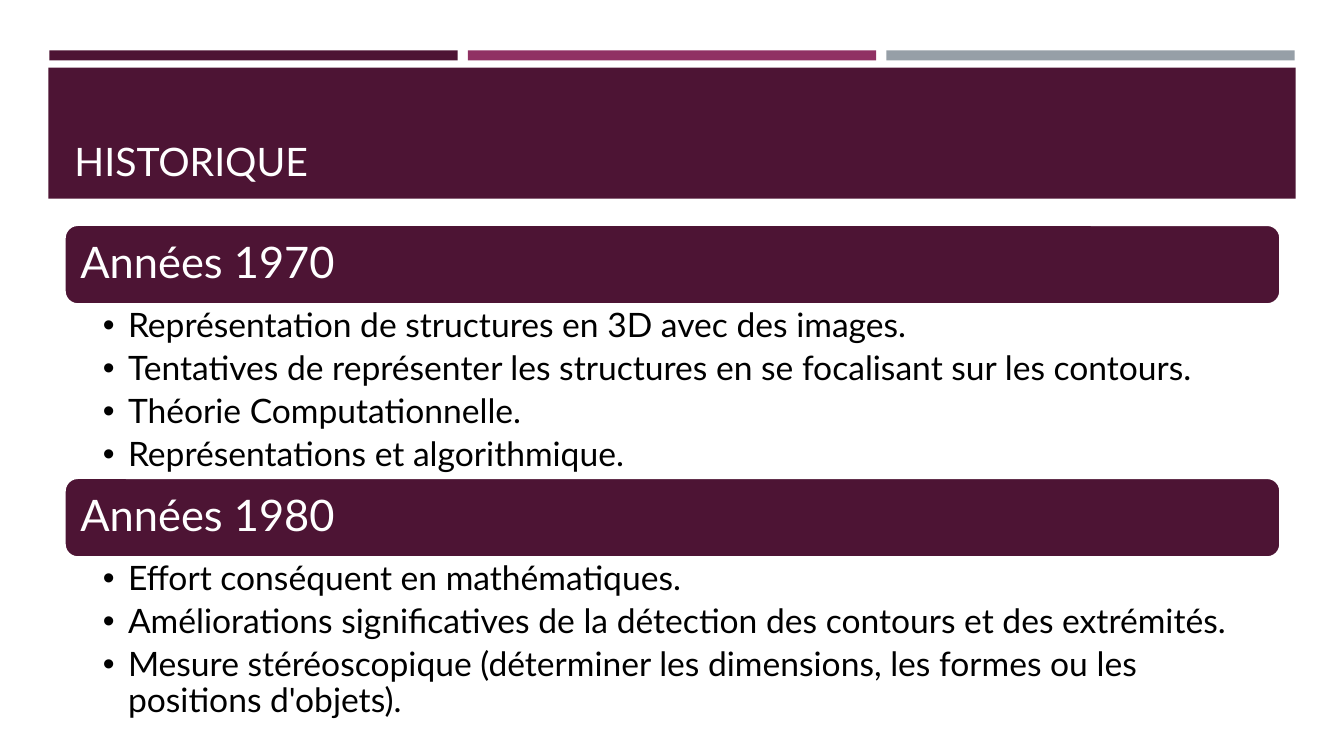
from dataclasses import dataclass

from lxml import etree
from pptx import Presentation
from pptx.dml.color import RGBColor
from pptx.enum.shapes import MSO_SHAPE
from pptx.enum.text import MSO_ANCHOR, PP_ALIGN
from pptx.oxml.ns import qn
from pptx.shapes.autoshape import Shape
from pptx.text.text import _Paragraph
from pptx.util import Inches, Pt

RECT = MSO_SHAPE.RECTANGLE
ROUND = MSO_SHAPE.ROUNDED_RECTANGLE
TOP, MIDDLE, BOTTOM = MSO_ANCHOR.TOP, MSO_ANCHOR.MIDDLE, MSO_ANCHOR.BOTTOM
LEFT = PP_ALIGN.LEFT

FONT = "Lato"
PLUM, ROSE, GREY = "4D1434", "903163", "969FA7"
WHITE, BLACK = "FFFFFF", "000000"


@dataclass
class Box:
    left: float
    top: float
    width: float
    height: float


@dataclass
class Style:
    size: float
    color: str
    anchor: MSO_ANCHOR
    insets: tuple[float, float, float, float]
    after: float = 0
    line: float = 1


@dataclass
class Decade:
    title: str
    top: float
    height: float
    points: list[str]


TITLE = Style(28, WHITE, BOTTOM, (0.1, 0.05, 0.1, 0.05))
HEAD = Style(31, WHITE, MIDDLE, (0.12, 0.09, 0.12, 0.09), 10.85, 0.9)
BODY = Style(24, BLACK, TOP, (0.38, 0.04, 0.24, 0.04), 4.8, 0.9)

DECADES = [
    Decade("Années 1970", 2.23, 1.72, [
        "Représentation de structures en 3D avec des images.",
        "Tentatives de représenter les structures en se focalisant sur les contours.",
        "Théorie Computationnelle.",
        "Représentations et algorithmique.",
    ]),
    Decade("Années 1980", 4.74, 1.65, [
        "Effort conséquent en mathématiques.",
        "Améliorations significatives de la détection des contours et des extrémités.",
        "Mesure stéréoscopique (déterminer les dimensions, les formes ou les "
        "positions d'objets).",
    ]),
]

deck = Presentation()
deck.slide_width = Inches(13.33)
deck.slide_height = Inches(7.5)
slide = deck.slides.add_slide(deck.slide_layouts[6])


def paint(hue: str) -> RGBColor:
    return RGBColor.from_string(hue)


def place(box: Box) -> list[Inches]:
    return [Inches(n) for n in (box.left, box.top, box.width, box.height)]


def add_block(box: Box, fill: str, kind: MSO_SHAPE = RECT) -> Shape:
    block = slide.shapes.add_shape(kind, *place(box))
    block.shadow.inherit = False
    block.fill.solid()
    block.fill.fore_color.rgb = paint(fill)
    block.line.fill.background()
    return block


def add_bullet(para: _Paragraph) -> None:
    props = para._p.get_or_add_pPr()
    props.set("marL", str(Inches(0.25)))
    props.set("indent", str(Inches(-0.25)))
    etree.SubElement(props, qn("a:buFont")).set("typeface", "Arial")
    etree.SubElement(props, qn("a:buChar")).set("char", "•")


def write(shape: Shape, lines: list[str], style: Style) -> None:
    frame = shape.text_frame
    frame.word_wrap = True
    frame.vertical_anchor = style.anchor
    (frame.margin_left, frame.margin_top,
     frame.margin_right, frame.margin_bottom) = map(Inches, style.insets)
    frame.text = "\n".join(lines)
    for para in frame.paragraphs:
        para.alignment = LEFT
        para.line_spacing = style.line
        para.space_after = Pt(style.after)
        for run in para.runs:
            run.font.name = FONT
            run.font.size = Pt(style.size)
            run.font.color.rgb = paint(style.color)


def add_text(box: Box, lines: list[str], style: Style) -> Shape:
    text = slide.shapes.add_textbox(*place(box))
    write(text, lines, style)
    return text


def add_decade(decade: Decade) -> None:
    head = add_block(Box(0.64, decade.top, 12.06, 0.79), PLUM, ROUND)
    head.line.color.rgb = paint(WHITE)
    head.line.width = Pt(1.75)
    write(head, [decade.title], HEAD)
    area = Box(0.64, decade.top + 0.79, 12.06, decade.height)
    body = add_text(area, decade.points, BODY)
    for para in body.text_frame.paragraphs:
        add_bullet(para)


for index, hue in enumerate((PLUM, ROSE, GREY)):
    add_block(Box(0.49 + index * 4.15, 0.5, 4.05, 0.1), hue)
add_block(Box(0.48, 0.67, 12.37, 1.3), PLUM)
add_text(Box(0.64, 0.77, 12.06, 1.11), ["HISTORIQUE"], TITLE)
for decade in DECADES:
    add_decade(decade)

deck.save("out.pptx")
